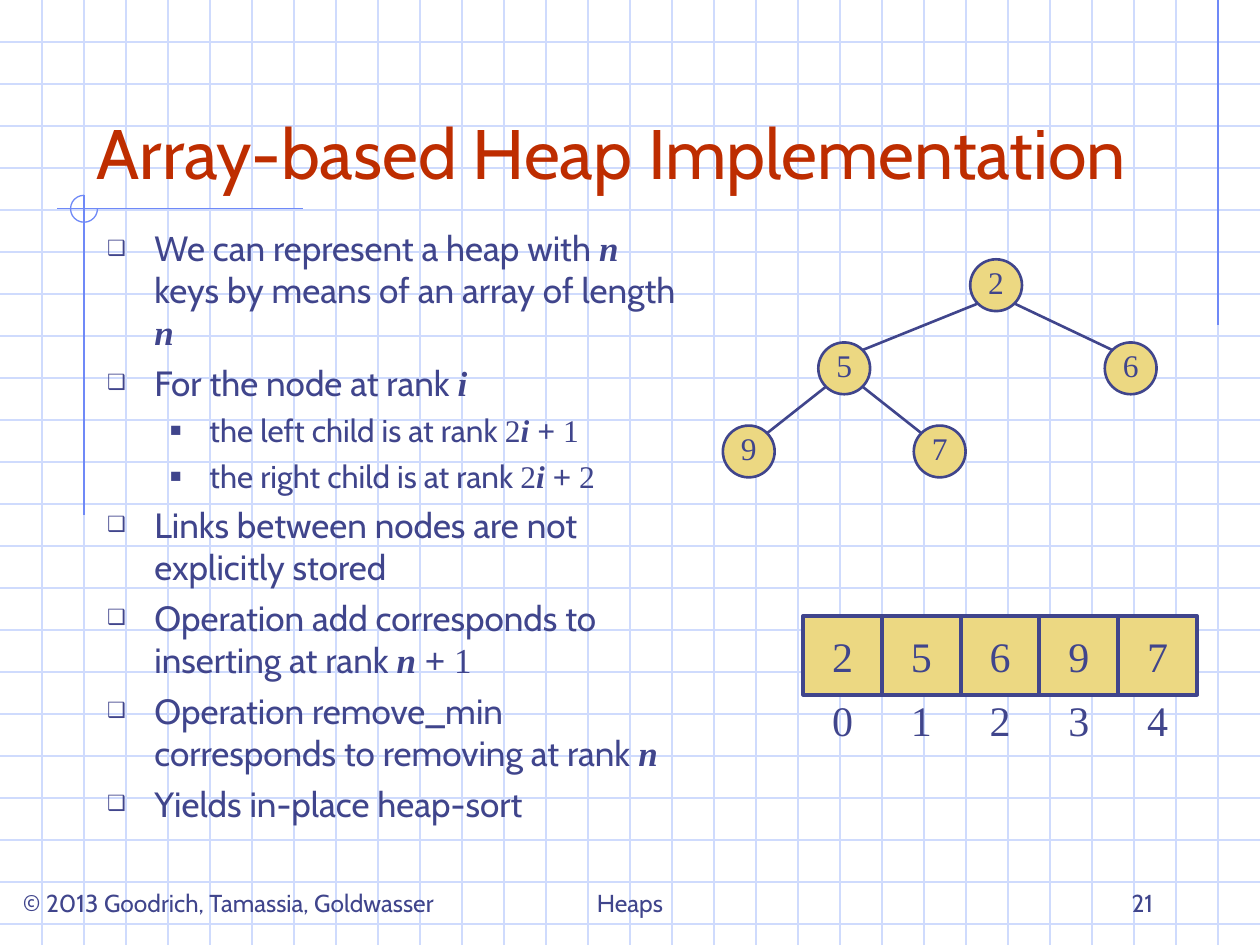
import dataclasses

import lxml.etree
import pptx
import pptx.dml.color
import pptx.enum.shapes
import pptx.enum.text
import pptx.oxml.ns
import pptx.util

Pt = pptx.util.Pt
qn = pptx.oxml.ns.qn
ALIGN = pptx.enum.text.PP_ALIGN
ANCHOR = pptx.enum.text.MSO_ANCHOR
SHAPE = pptx.enum.shapes.MSO_SHAPE


@dataclasses.dataclass(frozen=True)
class Theme:
    ink: str = "40458C"
    heading: str = "BE2D00"
    gold: str = "ECD882"
    grid: str = "CFDBFD"
    accent: str = "6F89F7"
    sans: str = "Cabin"
    serif: str = "Times New Roman"
    sign: str = "Arial"
    title_size: int = 40
    bullet_size: int = 20
    sub_size: int = 18
    node_size: int = 18
    cell_size: int = 24
    footer_size: int = 14


THEME = Theme()

# Run styles used in the bullet text
STYLES = {
    "text": dict(name=THEME.sans),
    "var": dict(name=THEME.serif, bold=True, italic=True),
    "math": dict(name=THEME.serif),
    "strong": dict(name=THEME.serif, bold=True),
    "sign": dict(name=THEME.sign),
}

# Bullet character, left indent, hanging indent, space before, size
LEVELS = [("❑", 27, 27, 5, THEME.bullet_size), ("■", 58.5, 22.5, 4.5, THEME.sub_size)]

BULLETS = [
    (0, [("We can represent a heap with ", "text"), ("n", "var"),
         (" keys by means of an array of length ", "text"), ("n", "var")]),
    (0, [("For the node at rank ", "text"), ("i", "var")]),
    (1, [("the left child is at rank ", "text"), ("2", "math"), ("i ", "var"),
         ("+ ", "strong"), ("1", "math")]),
    (1, [("the right child is at rank ", "text"), ("2", "math"), ("i ", "var"),
         ("+", "sign"), (" 2", "math")]),
    (0, [("Links between nodes are not explicitly stored", "text")]),
    (0, [("Operation add corresponds to inserting at rank ", "text"), ("n ", "var"),
         ("+", "sign"), (" 1", "math")]),
    (0, [("Operation remove_min corresponds to removing at rank ", "text"), ("n", "var")]),
    (0, [("Yields in-place heap-sort", "text")]),
]

HEAP = [2, 5, 6, 9, 7]


def rgb(color):
    return pptx.dml.color.RGBColor.from_string(color)


def apply(target, **values):
    for key, value in values.items():
        setattr(target, key, value)


def set_box(shape, box):
    apply(shape, **dict(zip(("left", "top", "width", "height"), map(Pt, box))))


def set_margins(frame, left, top, right, bottom):
    apply(frame, margin_left=Pt(left), margin_top=Pt(top),
          margin_right=Pt(right), margin_bottom=Pt(bottom))


def add_run(paragraph, text, size, color=THEME.ink, **style):
    run = paragraph.add_run()
    run.text = text
    apply(run.font, size=Pt(size), **style)
    run.font.color.rgb = rgb(color)


def add_line(shapes, start, end, color, width):
    line = shapes.add_connector(pptx.enum.shapes.MSO_CONNECTOR.STRAIGHT,
                                *map(Pt, (*start, *end)))
    line.line.color.rgb = rgb(color)
    line.line.width = Pt(width)
    lxml.etree.SubElement(line.element.find(qn("p:spPr")), qn("a:effectLst"))


def add_label(shapes, box, text, size, font, align, anchor, margins=(7.2, 3.6, 7.2, 3.6)):
    label = shapes.add_textbox(*map(Pt, box))
    frame = label.text_frame
    apply(frame, word_wrap=True, vertical_anchor=anchor)
    set_margins(frame, *margins)
    frame.paragraphs[0].alignment = align
    add_run(frame.paragraphs[0], text, size, name=font)


def add_value(shapes, kind, box, value, size, line_width, margins):
    holder = shapes.add_shape(kind, *map(Pt, box))
    holder.shadow.inherit = False
    holder.fill.solid()
    holder.fill.fore_color.rgb = rgb(THEME.gold)
    holder.line.color.rgb = rgb(THEME.ink)
    holder.line.width = Pt(line_width)
    frame = holder.text_frame
    apply(frame, word_wrap=False, vertical_anchor=ANCHOR.MIDDLE)
    set_margins(frame, *margins)
    frame.paragraphs[0].alignment = ALIGN.CENTER
    add_run(frame.paragraphs[0], str(value), size, name=THEME.serif)


def draw_backdrop(slide, box):
    left, top, width, height = box
    shapes = slide.shapes.add_group_shape().shapes
    # Graph paper
    step = 24
    for y in range(top + step, top + height, step):
        add_line(shapes, (left, y), (left + width, y), THEME.grid, 0.75)
    for x in range(left + step, left + width, step):
        add_line(shapes, (x, top), (x, top + height), THEME.grid, 0.75)
    # Accent rules and the open ring where two of them cross
    cross_x, cross_y, radius = left + 2 * step, top + 119.3, 7.7
    for start, end in [((left + width - step, top), (left + width - step, top + 186)),
                       ((left + 173, cross_y), (left + 32.5, cross_y)),
                       ((cross_x, cross_y - radius), (cross_x, top + 294.5))]:
        add_line(shapes, start, end, THEME.accent, 0.75)
    ring = shapes.add_shape(SHAPE.ARC, Pt(cross_x - radius), Pt(cross_y - radius),
                            Pt(2 * radius), Pt(2 * radius))
    ring.shadow.inherit = False
    ring.adjustments[0], ring.adjustments[1] = 0, 162  # 0 to 270 degrees
    ring.fill.background()
    ring.line.color.rgb = rgb(THEME.accent)
    ring.line.width = Pt(0.75)


def raise_to_front(shape):
    shape.element.getparent().append(shape.element)


def fill_title(slide, box, text):
    title = slide.shapes.title
    set_box(title, box)
    raise_to_front(title)
    frame = title.text_frame
    apply(frame, vertical_anchor=ANCHOR.BOTTOM, word_wrap=True,
          auto_size=pptx.enum.text.MSO_AUTO_SIZE.NONE)
    frame.paragraphs[0].alignment = ALIGN.LEFT
    add_run(frame.paragraphs[0], text, THEME.title_size, THEME.heading, name=THEME.sans)


def set_bullet(paragraph, char, indent, hanging):
    properties = paragraph._p.get_or_add_pPr()
    properties.set("marL", str(Pt(indent)))
    properties.set("indent", str(-Pt(hanging)))
    color = lxml.etree.SubElement(properties, qn("a:buClr"))
    lxml.etree.SubElement(color, qn("a:srgbClr"), val=THEME.ink)
    lxml.etree.SubElement(properties, qn("a:buSzPct"), val="60000")
    lxml.etree.SubElement(properties, qn("a:buChar"), char=char)


def fill_bullets(slide, box, bullets):
    body = slide.placeholders[1]
    set_box(body, box)
    raise_to_front(body)
    frame = body.text_frame
    apply(frame, word_wrap=True, auto_size=pptx.enum.text.MSO_AUTO_SIZE.NONE)
    for number, (level, runs) in enumerate(bullets):
        paragraph = frame.add_paragraph() if number else frame.paragraphs[0]
        char, indent, hanging, space, size = LEVELS[level]
        set_bullet(paragraph, char, indent, hanging)
        apply(paragraph, level=level, space_before=Pt(space if number else 0))
        for text, style in runs:
            add_run(paragraph, text, size, **STYLES[style])


def draw_tree(slide, box, values):
    left, top, width, height = box
    diameter = 29.6
    level_gap = (height - diameter) / 2
    across = [0.63, 0.28, 0.94, 0.06, 0.5]
    centres = [(left + share * width,
                top + diameter / 2 + ((rank + 1).bit_length() - 1) * level_gap)
               for rank, share in enumerate(across)]
    # Links leave and meet the circles at 45 degrees
    reach = diameter / 2 * 0.5 ** 0.5
    for rank in range(1, len(values)):
        (parent_x, parent_y), (child_x, child_y) = centres[(rank - 1) // 2], centres[rank]
        side = reach if child_x > parent_x else -reach
        add_line(slide.shapes, (parent_x + side, parent_y + reach),
                 (child_x - side, child_y - reach), THEME.ink, 1.5)
    for value, (x, y) in zip(values, centres):
        add_value(slide.shapes, SHAPE.OVAL,
                  (x - diameter / 2, y - diameter / 2, diameter, diameter),
                  value, THEME.node_size, 1.5, (0, 0, 0, 3.6))


def draw_array(slide, box, values):
    left, top, width, height = box
    shapes = slide.shapes.add_group_shape().shapes
    cell, rank_width = width / len(values), 21.6
    for rank, value in enumerate(values):
        x = left + rank * cell
        add_value(shapes, SHAPE.RECTANGLE, (x, top, cell, cell), value,
                  THEME.cell_size, 2.25, (7.2, 3.6, 7.2, 3.6))
        add_label(shapes, (x + (cell - rank_width) / 2, top + cell, rank_width, height - cell),
                  str(rank), THEME.cell_size, THEME.serif, ALIGN.CENTER, ANCHOR.TOP, (0,) * 4)


def draw_footer(slide, box):
    left, top, width, height = box
    for offset, span, text, align in [
            (6, 294, "© 2013 Goodrich, Tamassia, Goldwasser", ALIGN.LEFT),
            (246, 228, "Heaps", ALIGN.CENTER),
            (516, 150, "21", ALIGN.RIGHT)]:
        add_label(slide.shapes, (left + offset, top, span, height), text,
                  THEME.footer_size, THEME.sans, align, ANCHOR.BOTTOM)


def main():
    deck = pptx.Presentation()
    apply(deck, slide_width=Pt(720), slide_height=Pt(540))
    slide = deck.slides.add_slide(deck.slide_layouts[1])
    draw_backdrop(slide, (0, 0, 720, 540))
    fill_title(slide, (48, 24, 630, 90), "Array-based Heap Implementation")
    fill_bullets(slide, (54, 126, 348, 384), BULLETS)
    draw_tree(slide, (413, 148.2, 248, 124.6), HEAP)
    draw_array(slide, (459, 352, 225, 73.8), HEAP)
    draw_footer(slide, (0, 492, 720, 36))
    deck.save("out.pptx")


if __name__ == "__main__":
    main()
